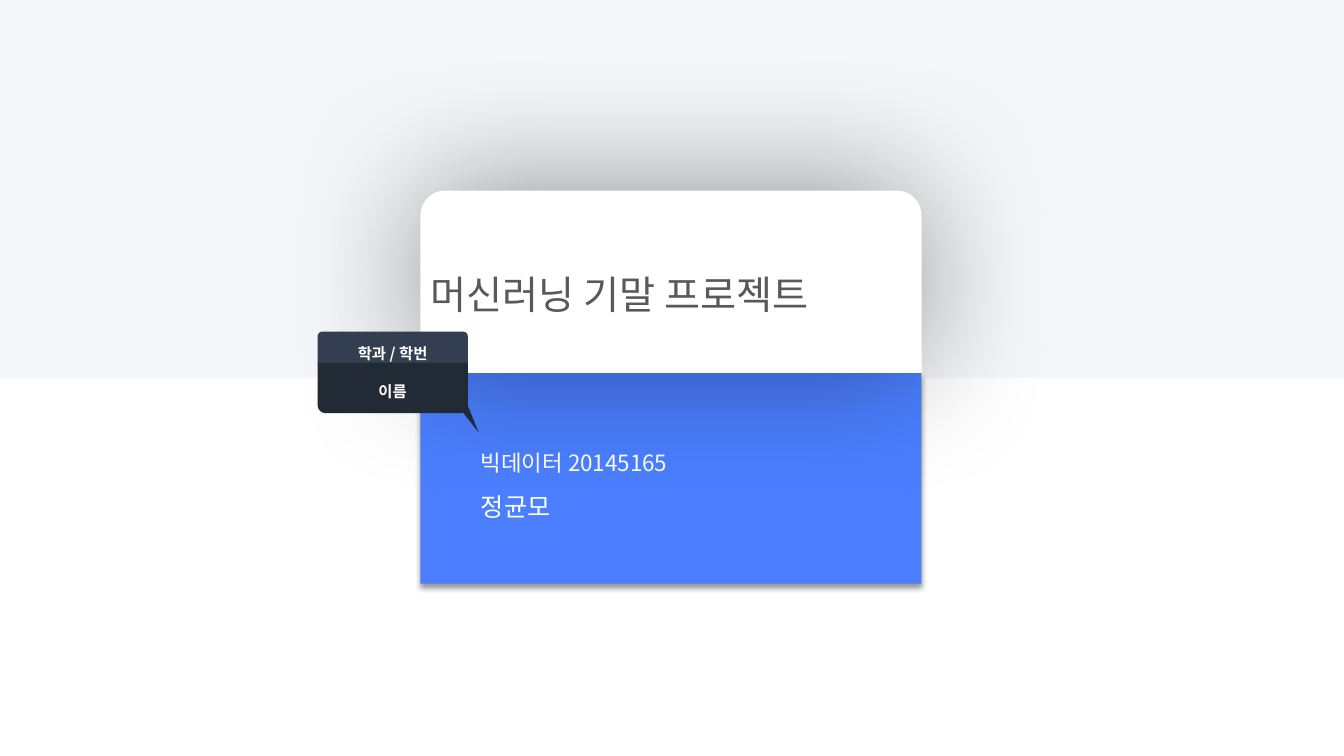
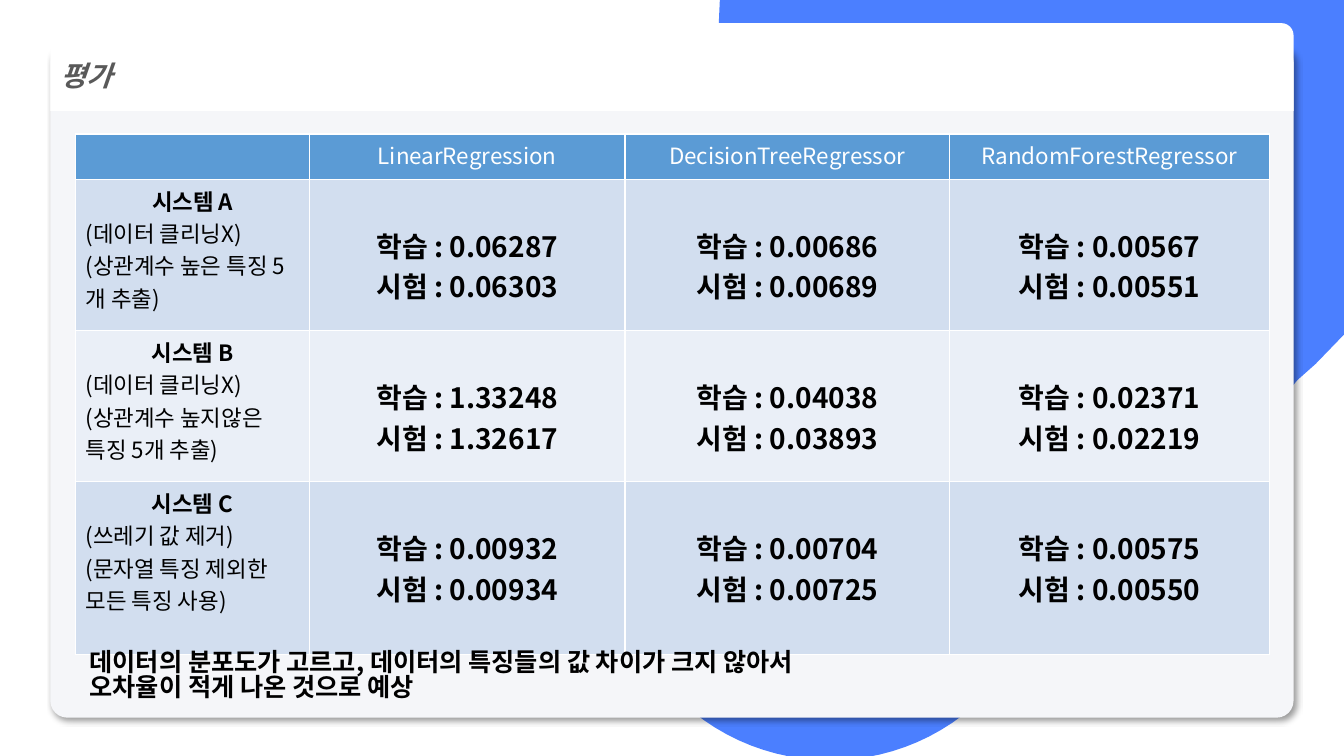
from dataclasses import dataclass
from typing import NamedTuple

from lxml.etree import SubElement
from pptx import Presentation
from pptx.dml.color import RGBColor
from pptx.enum.shapes import MSO_SHAPE
from pptx.enum.text import MSO_ANCHOR, MSO_AUTO_SIZE, PP_ALIGN
from pptx.oxml.ns import qn
from pptx.util import Inches, Pt

FONT = "Noto Sans CJK KR"
BLUE, PALE, WHITE, BLACK = "4B7FFF", "F5F6F9", "FFFFFF", "000000"
GRAY, SLATE, NAVY = "595959", "333F50", "222A35"
HEAD, BANDS = "5B9BD5", ("D2DEEF", "EAEFF7")
RECT, ROUND = MSO_SHAPE.RECTANGLE, MSO_SHAPE.ROUNDED_RECTANGLE
CAP, TIP = MSO_SHAPE.ROUND_2_SAME_RECTANGLE, MSO_SHAPE.ISOSCELES_TRIANGLE


class Area(NamedTuple):
    """Place and size in inches."""
    x: float
    y: float
    w: float
    h: float


class Shade(NamedTuple):
    """Outer shadow with blur in points and angle in degrees."""
    blur: int
    angle: int


@dataclass(frozen=True)
class Look:
    """Format of a paragraph."""
    size: int
    color: str
    bold: bool = False
    italic: bool = False
    align: PP_ALIGN = PP_ALIGN.LEFT
    space: float = 1.0


@dataclass(frozen=True)
class Box:
    """A filled shape."""
    kind: MSO_SHAPE
    area: Area
    fill: str
    curve: tuple[float, ...] = ()
    shade: Shade | None = None
    turn: int = 0


class Model(NamedTuple):
    """A table column of train and test errors."""
    name: str
    width: float
    scores: tuple[tuple[str, str], ...]


class Trial(NamedTuple):
    """A table row head with its notes."""
    name: str
    notes: tuple[str, str]
    height: float


CARD = Area(4.17, 1.89, 4.97, 1.81)
BAND = Area(0.5, 0.23, 12.33, 0.87)
TAG = Look(11, WHITE, bold=True, align=PP_ALIGN.CENTER, space=1.5)
NAME = Look(16, BLACK, bold=True, align=PP_ALIGN.CENTER)
NOTE = Look(16, BLACK)
SCORE = Look(20, BLACK, bold=True, align=PP_ALIGN.CENTER)
TOP = Look(16, WHITE, align=PP_ALIGN.CENTER)
MODELS = (
    Model("LinearRegression", 3.13,
          (("0.06287", "0.06303"), ("1.33248", "1.32617"), ("0.00932", "0.00934"))),
    Model("DecisionTreeRegressor", 3.22,
          (("0.00686", "0.00689"), ("0.04038", "0.03893"), ("0.00704", "0.00725"))),
    Model("RandomForestRegressor", 3.17,
          (("0.00567", "0.00551"), ("0.02371", "0.02219"), ("0.00575", "0.00550"))),
)
TRIALS = (
    Trial("시스템 A", ("(데이터 클리닝X)", "(상관계수 높은 특징 5개 추출)"), 1.5),
    Trial("시스템 B", ("(데이터 클리닝X)", "(상관계수 높지않은 특징 5개 추출)"), 1.5),
    Trial("시스템 C", ("(쓰레기 값 제거)", "(문자열 특징 제외한 모든 특징 사용)"), 1.71),
)
BLOB = (
    ((13.33, 3.32),), ((13.05, 3.61),), ((12.87, 3.77),), ((12.82, 3.83),),
    ((12.78, 3.89), (12.73, 3.94), (12.67, 4)), ((9.76, 6.91),),
    ((8.97, 7.7), (7.72, 7.75), (6.87, 7.06)), ((6.7, 6.91),), ((6.55, 6.75),),
    ((5.86, 5.9), (5.91, 4.64), (6.7, 3.85)), ((8.21, 2.35),), ((7.87, 2.01),),
    ((7.38, 1.51), (7.13, 0.86), (7.13, 0.22)), ((7.14, 0),),
)


def color(code: str) -> RGBColor:
    """Turn a hex string into a colour."""
    return RGBColor.from_string(code)


def paint(shape, code: str) -> None:
    """Fill a shape and drop its line and shadow."""
    shape.fill.solid()
    shape.fill.fore_color.rgb = color(code)
    shape.line.fill.background()
    shape.shadow.inherit = False


def cast(shape, shade: Shade) -> None:
    """Give a shape an outer shadow."""
    effects = shape.element.spPr.find(qn("a:effectLst"))
    outer = SubElement(effects, qn("a:outerShdw"), blurRad=str(Pt(shade.blur)),
                       dist=str(Pt(3)), dir=str(shade.angle * 60000), rotWithShape="0")
    tone = SubElement(outer, qn("a:srgbClr"), val=BLACK)
    SubElement(tone, qn("a:alpha"), val="40000")


def draw(shapes, box: Box):
    """Draw a box."""
    shape = shapes.add_shape(box.kind, *map(Inches, box.area))
    for i, value in enumerate(box.curve):
        shape.adjustments[i] = value
    shape.rotation = box.turn
    paint(shape, box.fill)
    if box.shade:
        cast(shape, box.shade)
    return shape


def write(frame, *lines: tuple[str, Look]) -> None:
    """Write one paragraph per line."""
    frame.word_wrap = True
    for i, (text, look) in enumerate(lines):
        para = frame.add_paragraph() if i else frame.paragraphs[0]
        para.text = text
        para.alignment = look.align
        para.line_spacing = look.space
        font = para.font
        font.name, font.size = FONT, Pt(look.size)
        font.bold, font.italic = look.bold, look.italic
        font.color.rgb = color(look.color)
        props = para._p.pPr.find(qn("a:defRPr"))
        SubElement(props, qn("a:ea"), typeface=FONT)


def label(shapes, box: Box, *lines: tuple[str, Look]):
    """Draw a box with text in its middle."""
    shape = draw(shapes, box)
    shape.text_frame.vertical_anchor = MSO_ANCHOR.MIDDLE
    write(shape.text_frame, *lines)
    return shape


def head(slide, text: str, look: Look, box: Box) -> None:
    """Lay the slide title on a white cap."""
    cap = draw(slide.shapes, box)
    title = slide.shapes.title
    cap.element.addnext(title.element)
    title.left, title.top, title.width, title.height = map(Inches, box.area)
    frame = title.text_frame
    frame.auto_size = MSO_AUTO_SIZE.NONE
    frame.vertical_anchor = MSO_ANCHOR.MIDDLE
    write(frame, (text, look))


def blob(shapes) -> None:
    """Draw the blue outline, with its curves cut into short lines."""
    last = (13.33, 0)
    points = []
    for step in BLOB:
        if len(step) == 1:
            points.append(step[0])
        else:
            ends = (last, *step)
            for k in range(1, 25):
                t = k / 24
                parts = ((1 - t) ** 3, 3 * t * (1 - t) ** 2, 3 * t * t * (1 - t), t ** 3)
                points.append(tuple(sum(p * e[axis] for p, e in zip(parts, ends))
                                    for axis in (0, 1)))
        last = step[-1]
    form = shapes.build_freeform(Inches(13.33), 0)
    form.add_line_segments([(Inches(x), Inches(y)) for x, y in points], close=True)
    paint(form.convert_to_shape(), BLUE)


def fill(cell, code: str, *lines: tuple[str, Look]) -> None:
    """Write and colour a cell with white borders."""
    write(cell.text_frame, *lines)
    props = cell._tc.get_or_add_tcPr()
    for side in ("lnL", "lnR", "lnT", "lnB"):
        edge = SubElement(props, qn(f"a:{side}"), w=str(Pt(1)))
        SubElement(SubElement(edge, qn("a:solidFill")), qn("a:srgbClr"), val=WHITE)
    cell.fill.solid()
    cell.fill.fore_color.rgb = color(code)


def grid(shapes) -> None:
    """Build the table of errors."""
    widths = (2.32, *(m.width for m in MODELS))
    heights = (0.45, *(t.height for t in TRIALS))
    area = Area(0.75, 1.33, sum(widths), sum(heights))
    table = shapes.add_table(len(heights), len(widths), *map(Inches, area)).table
    for col, width in zip(table.columns, widths):
        col.width = Inches(width)
    for row, height in zip(table.rows, heights):
        row.height = Inches(height)
    for c, name in enumerate(("", *(m.name for m in MODELS))):
        fill(table.cell(0, c), HEAD, (name, TOP))
    for r, trial in enumerate(TRIALS):
        band = BANDS[r % 2]
        fill(table.cell(r + 1, 0), band, (trial.name, NAME),
             *((note, NOTE) for note in trial.notes))
        for c, model in enumerate(MODELS, 1):
            cell = table.cell(r + 1, c)
            train, test = model.scores[r]
            cell.margin_top = Inches(0.45)
            fill(cell, band, (f"학습 : {train}", SCORE), (f"시험 : {test}", SCORE))


def cover(slide) -> None:
    """Build the cover."""
    back = slide.background.fill
    back.gradient()
    back.gradient_angle = 270
    for stop, code in zip(back.gradient_stops, (PALE, WHITE)):
        stop.position = 0.5
        stop.color.rgb = color(code)
    base = Box(RECT, Area(CARD.x, CARD.y + CARD.h, CARD.w, 2.09), BLUE, shade=Shade(4, 90))
    panel = label(slide.shapes, base, ("빅데이터 20145165", Look(16, WHITE, space=1.5)),
                  ("정균모", Look(18, WHITE, space=1.5)))
    panel.text_frame.margin_left = Inches(0.6)
    head(slide, "머신러닝 기말 프로젝트", Look(28, GRAY, space=1.5),
         Box(CAP, CARD, WHITE, (0.137, 0), Shade(99, 270)))
    group = slide.shapes.add_group_shape().shapes
    label(group, Box(CAP, Area(3.15, 3.29, 1.49, 0.32), SLATE, (0.137, 0)),
          ("학과 / 학번", TAG))
    label(group, Box(CAP, Area(3.15, 3.6, 1.49, 0.5), NAVY, (0, 0.155)), ("이름", TAG))
    draw(group, Box(TIP, Area(4.58, 3.89, 0.12, 0.43), NAVY, turn=150))


def review(slide) -> None:
    """Build the review of the models."""
    shapes = slide.shapes
    blob(shapes)
    draw(shapes, Box(ROUND, Area(0.5, 0.45, 12.33, 6.67), PALE, (0.025,), Shade(4, 45)))
    head(slide, "평가", Look(20, GRAY, bold=True, italic=True, space=1.5),
         Box(CAP, BAND, WHITE, (0.137, 0)))
    grid(shapes)
    note = shapes.add_textbox(*map(Inches, Area(0.79, 6.41, 11.79, 0.71)))
    look = Look(18, BLACK, bold=True, space=0.83)
    write(note.text_frame,
          ("데이터의 분포도가 고르고, 데이터의 특징들의 값 차이가 크지 않아서", look),
          ("오차율이 적게 나온 것으로 예상", look))


def main() -> None:
    """Build and save the slides."""
    deck = Presentation()
    deck.slide_width, deck.slide_height = Inches(13.33), Inches(7.5)
    for build in (cover, review):
        build(deck.slides.add_slide(deck.slide_layouts[5]))
    deck.save("out.pptx")


if __name__ == "__main__":
    main()
